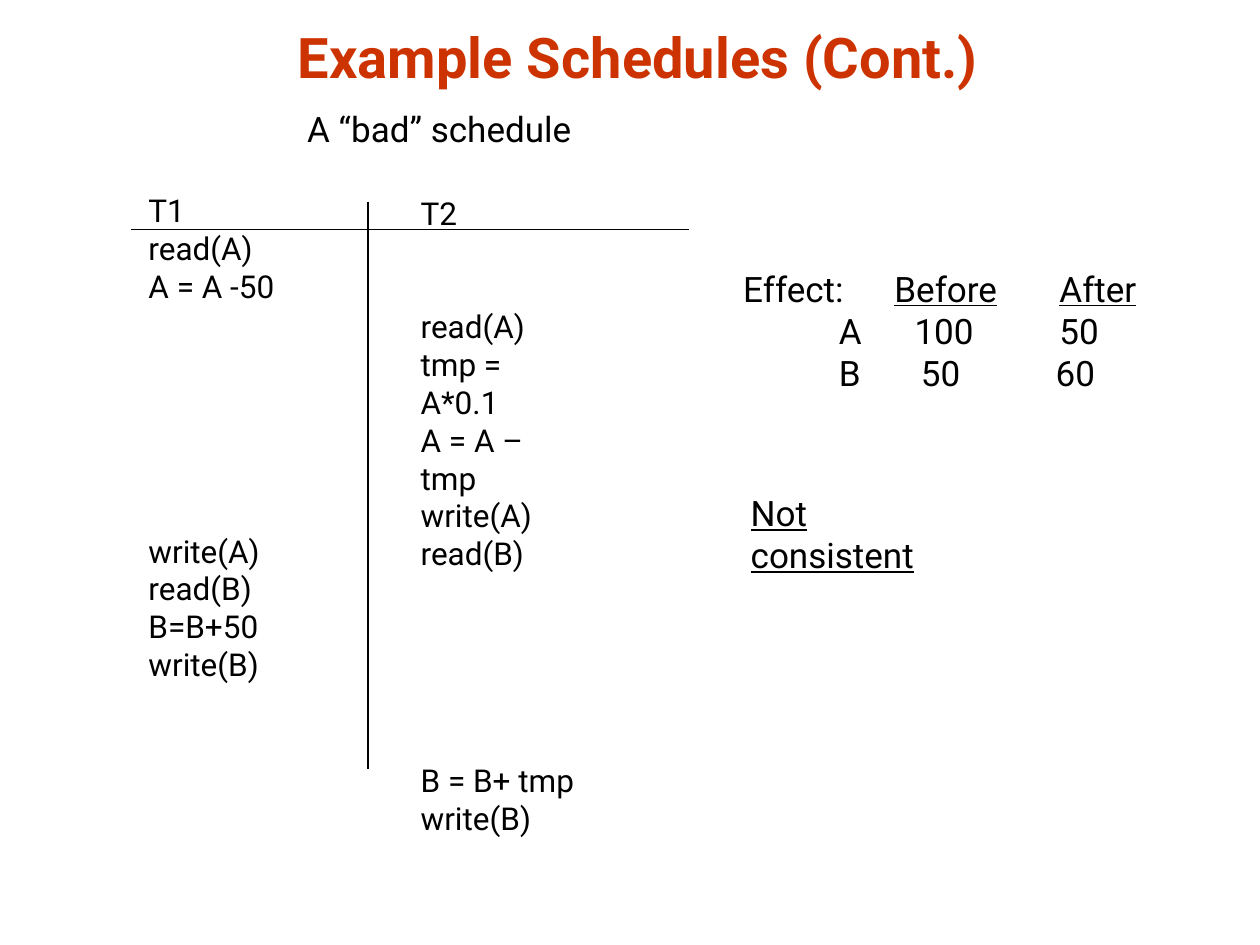
from dataclasses import dataclass

from lxml import etree
from pptx import Presentation
from pptx.dml.color import RGBColor
from pptx.enum.shapes import MSO_CONNECTOR
from pptx.enum.text import MSO_ANCHOR, MSO_AUTO_SIZE, PP_ALIGN
from pptx.oxml.ns import qn
from pptx.util import Inches, Pt

STRAIGHT = MSO_CONNECTOR.STRAIGHT
BOTTOM, TOP = MSO_ANCHOR.BOTTOM, MSO_ANCHOR.TOP
CENTER, LEFT = PP_ALIGN.CENTER, PP_ALIGN.LEFT
NO_AUTOFIT = MSO_AUTO_SIZE.NONE
TITLE_ONLY = 5
LINE_ROW = 0.3
TEXT_ROW = 0.34
INSET = 0.05


@dataclass(frozen=True)
class Theme:
    font: str = "Roboto"
    ink: RGBColor = RGBColor(0x00, 0x00, 0x00)
    accent: RGBColor = RGBColor(0xCC, 0x33, 0x00)
    title_size: int = 32
    text_size: int = 20
    step_size: int = 18
    rule_width: float = 0.75


@dataclass(frozen=True)
class Box:
    left: float
    top: float
    width: float
    height: float


@dataclass(frozen=True)
class Block:
    row: int
    lines: tuple[str, ...]


@dataclass(frozen=True)
class Transaction:
    left: float
    top: float
    width: float
    blocks: tuple[Block, ...]


@dataclass(frozen=True)
class EffectRow:
    cells: tuple[str, ...]
    tabs: tuple[float, ...]
    underlined: tuple[str, ...] = ()


THEME = Theme()
TRANSACTIONS = (
    Transaction(1.08, 1.47, 1.25, (
        Block(0, ("T1", "read(A)", "A = A -50")),
        Block(9, ("write(A)", "read(B)", "B=B+50", "write(B)")),
    )),
    Transaction(3.24, 1.49, 1.51, (
        Block(0, ("T2",)),
        Block(3, ("read(A)", "tmp =\vA*0.1", "A = A – tmp", "write(A)", "read(B)")),
        Block(15, ("B = B+ tmp", "write(B)")),
    )),
)
EFFECT = (
    EffectRow(("Effect:", "Before", "After"), (1.2, 2.51), ("Before", "After")),
    EffectRow(("", "A", "100", "50"), (0.76, 1.36, 2.51)),
    EffectRow(("", "B", "50", "60"), (0.76, 1.41, 2.48)),
)


def style(paragraph, size: int, color: RGBColor = THEME.ink) -> None:
    paragraph.font.name = THEME.font
    paragraph.font.size = Pt(size)
    paragraph.font.color.rgb = color


def add_text(slide, box: Box, lines: tuple[str, ...], size: int, wrap: bool = False):
    shape = slide.shapes.add_textbox(
        Inches(box.left), Inches(box.top), Inches(box.width), Inches(box.height))
    frame = shape.text_frame
    frame.word_wrap = wrap
    frame.vertical_anchor = TOP
    frame.text = "\n".join(lines)
    for paragraph in frame.paragraphs:
        paragraph.alignment = LEFT
        style(paragraph, size)
    return frame


def add_title(slide, box: Box, text: str) -> None:
    title = slide.shapes.title
    title.left, title.top = Inches(box.left), Inches(box.top)
    title.width, title.height = Inches(box.width), Inches(box.height)
    frame = title.text_frame
    frame.text = text
    frame.auto_size = NO_AUTOFIT
    frame.vertical_anchor = BOTTOM
    paragraph = frame.paragraphs[0]
    paragraph.alignment = CENTER
    style(paragraph, THEME.title_size, THEME.accent)
    paragraph.font.bold = True


def add_transaction(slide, transaction: Transaction) -> None:
    for block in transaction.blocks:
        line_count = len("\v".join(block.lines).split("\v"))
        box = Box(transaction.left, transaction.top + block.row * LINE_ROW,
                  transaction.width, line_count * LINE_ROW + 2 * INSET)
        add_text(slide, box, block.lines, THEME.step_size)


def add_rule(slide, start: tuple[float, float], end: tuple[float, float]) -> None:
    rule = slide.shapes.add_connector(STRAIGHT, *map(Inches, start + end))
    rule.line.color.rgb = THEME.ink
    rule.line.width = Pt(THEME.rule_width)
    etree.SubElement(rule._element.spPr, qn("a:effectLst"))


def add_effect(slide, left: float, top: float, width: float) -> None:
    box = Box(left, top, width, len(EFFECT) * TEXT_ROW + 2 * INSET)
    frame = add_text(slide, box, ("",) * len(EFFECT), THEME.text_size)
    for paragraph, row in zip(frame.paragraphs, EFFECT):
        properties = paragraph._p.get_or_add_pPr()
        tab_list = etree.Element(qn("a:tabLst"))
        for position in row.tabs:
            etree.SubElement(tab_list, qn("a:tab"), pos=str(Inches(position)), algn="l")
        properties.insert(0, tab_list)
        for index, cell in enumerate(row.cells):
            if index:
                paragraph.add_run().text = "\t"
            if cell:
                run = paragraph.add_run()
                run.text = cell
                if cell in row.underlined:
                    run.font.underline = True


def main() -> None:
    presentation = Presentation()
    presentation.slide_width, presentation.slide_height = Inches(10), Inches(7.5)
    slide = presentation.slides.add_slide(presentation.slide_layouts[TITLE_ONLY])

    add_title(slide, Box(0.65, 0.09, 8.83, 0.67), "Example Schedules (Cont.)")
    subtitle = add_text(slide, Box(1.16, 0.8, 7.35, 0.72), ("A “bad” schedule",),
                        THEME.text_size, wrap=True)
    subtitle.paragraphs[0]._p.get_or_add_pPr().set("marL", str(Inches(1.18)))

    verdict = add_text(slide, Box(5.86, 3.85, 1.96, 0.78), ("Not\vconsistent",),
                       THEME.text_size)
    verdict.paragraphs[0].font.underline = True

    for transaction in TRANSACTIONS:
        add_transaction(slide, transaction)
    add_rule(slide, (1.04, 1.82), (5.47, 1.82))
    add_rule(slide, (2.92, 1.6), (2.92, 6.1))
    add_effect(slide, 5.8, 2.07, 3.38)

    presentation.save("out.pptx")


if __name__ == "__main__":
    main()
